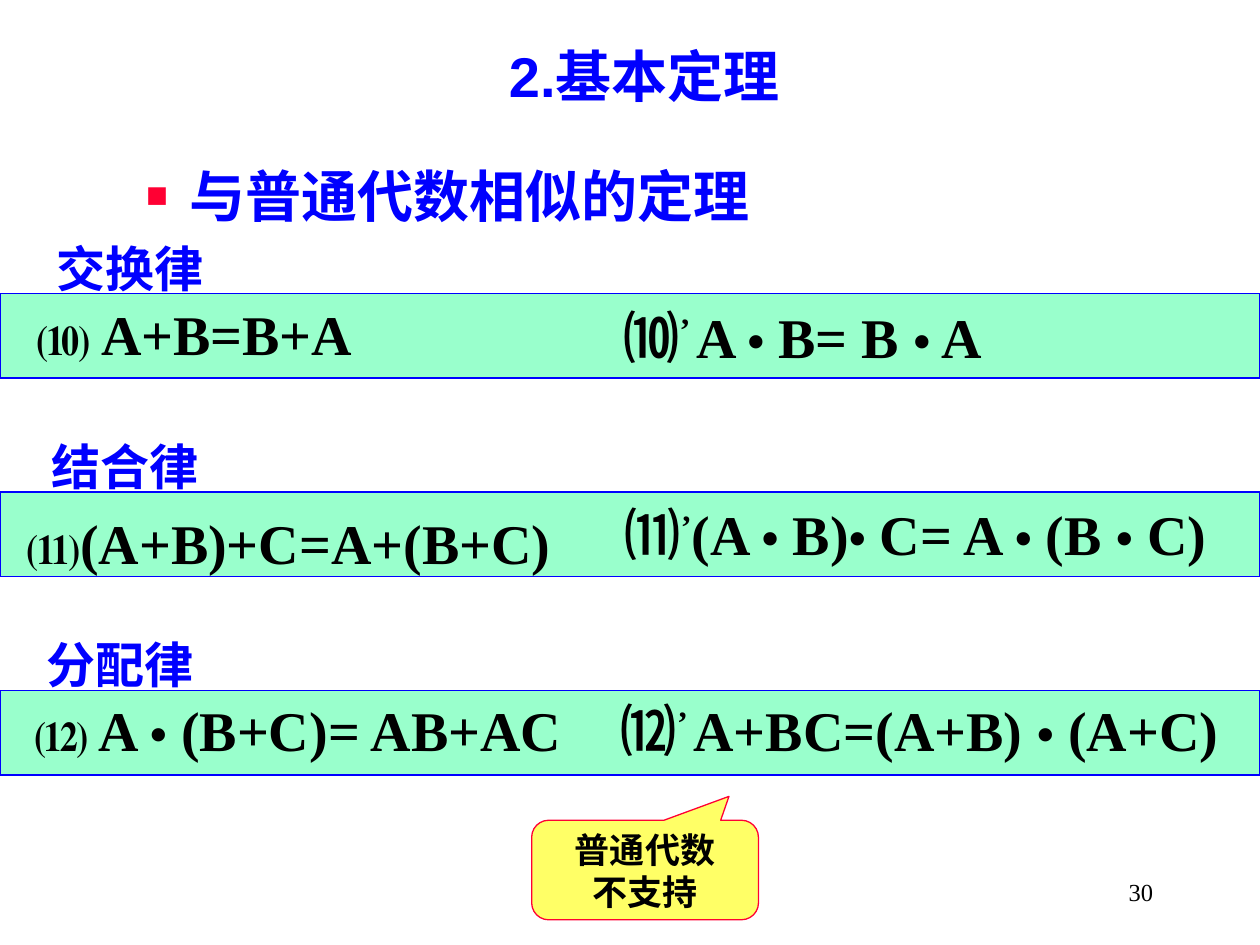
"""Build the slide of Boolean algebra theorems that resemble ordinary algebra."""
from itertools import groupby

from lxml import etree
from pptx import Presentation
from pptx import util as u
from pptx.dml.color import RGBColor
from pptx.enum import shapes, text
from pptx.oxml.ns import qn

BLUE = RGBColor(0x00, 0x00, 0xFF)
MINT = RGBColor(0x99, 0xFF, 0xCC)
YELLOW = RGBColor(0xFF, 0xFF, 0x66)
RED = RGBColor(0xFF, 0x00, 0x33)
BLACK = RGBColor(0x00, 0x00, 0x00)
SERIF, SANS, CJK = "Times New Roman", "Arial", "Noto Sans CJK SC"

TITLE = "2.基本定理"
SUBTITLE = "与普通代数相似的定理"
CALLOUT = ("普通代数", "不支持")
PAGE = "30"
# law: name and left; sum form, left and drop; dual number, prime, form, left and drop
LAWS = [
    (("交换律", 0.35), ("⑽ A+B=B+A", 0.2, 0), ("⑽", "’ ", "A • B= B • A", 4.85, 0.02)),
    (("结合律", 0.31), ("⑾(A+B)+C=A+(B+C)", 0.12, 0.08),
     ("⑾", "’", "(A • B)• C= A • (B • C)", 4.86, 0.01)),
    (("分配律", 0.27), ("⑿ A • (B+C)= AB+AC", 0.18, -0.01),
     ("⑿", "’ ", "A+BC=(A+B) • (A+C)", 4.83, -0.01)),
]
WIDTH, HEIGHT = 10, 7.5
BAND_TOP, BAND_STEP, BAND_HEIGHT = 2.33, 1.575, 0.67
LINE_HEIGHT, NAME_HEIGHT, NAME_RISE = 0.64, 0.57, 0.49


def inches(*lengths):
    return [u.Inches(length) for length in lengths]


def add_run(paragraph, words, size, face=SANS, east=CJK, color=BLACK, bold=True, raised=False):
    run = paragraph.add_run()
    run.text = words
    formats = {"size": u.Pt(size), "name": face, "bold": bold}
    for key, value in formats.items():
        setattr(run.font, key, value)
    run.font.color.rgb = color
    properties = run.font._element
    etree.SubElement(properties, qn("a:ea")).set("typeface", east)
    if raised:
        properties.set("baseline", "30000")


def add_formula(paragraph, formula):
    for is_dot, letters in groupby(formula, lambda letter: letter == "•"):
        add_run(paragraph, "".join(letters), 28 if is_dot else 32, SERIF, SERIF)


def set_frame(frame, anchor=text.MSO_ANCHOR.TOP):
    formats = {"word_wrap": True, "auto_size": text.MSO_AUTO_SIZE.NONE, "vertical_anchor": anchor}
    for key, value in formats.items():
        setattr(frame, key, value)
    return frame.paragraphs[0]


def add_line(slide, *place):
    return set_frame(slide.shapes.add_textbox(*inches(*place)).text_frame)


def fill_placeholder(holder, words, *place):
    for key, value in zip(("left", "top", "width", "height"), inches(*place)):
        setattr(holder, key, value)
    paragraph = set_frame(holder.text_frame)
    paragraph.space_before = u.Pt(0)
    add_run(paragraph, words, 32, color=BLUE)
    return paragraph


def add_bullet(paragraph):
    properties = paragraph._p.get_or_add_pPr()
    indent = u.Inches(0.34)
    properties.set("marL", str(indent))
    properties.set("indent", str(-indent))
    color = etree.SubElement(properties, qn("a:buClr"))
    etree.SubElement(color, qn("a:srgbClr")).set("val", str(RED))
    for tag, key, value in (("a:buSzPct", "val", "65000"), ("a:buFont", "typeface", SANS),
                            ("a:buChar", "char", "■")):
        etree.SubElement(properties, qn(tag)).set(key, value)


def add_panel(slide, kind, place, fill, line, weight):
    panel = slide.shapes.add_shape(kind, *inches(*place))
    panel.shadow.inherit = False
    panel.fill.solid()
    panel.fill.fore_color.rgb = fill
    panel.line.color.rgb = line
    panel.line.width = u.Pt(weight)
    return panel


def add_law(slide, row, name, direct, dual):
    top = BAND_TOP + row * BAND_STEP
    title, left = name
    add_run(add_line(slide, left, top - NAME_RISE, 3.8, NAME_HEIGHT), title, 28, color=BLUE)
    formula, left, drop = direct
    add_formula(add_line(slide, left, top + drop, 4.58, LINE_HEIGHT), formula)
    number, prime, formula, left, drop = dual
    line = add_line(slide, left, top + drop, 5.42, LINE_HEIGHT)
    add_run(line, number, 32, CJK)
    add_run(line, prime, 32, SERIF, SERIF, raised=True)
    add_formula(line, formula)


def main():
    deck = Presentation()
    deck.slide_width, deck.slide_height = inches(WIDTH, HEIGHT)
    slide = deck.slides.add_slide(deck.slide_layouts[1])
    heading, topic = slide.placeholders
    title_line = fill_placeholder(heading, TITLE, 1.06, 0.28, 8.11, LINE_HEIGHT)
    title_line.alignment = text.PP_ALIGN.CENTER
    add_bullet(fill_placeholder(topic, SUBTITLE, 1.06, 1.23, 5.51, LINE_HEIGHT))

    for row in range(len(LAWS)):
        place = (0, BAND_TOP + row * BAND_STEP, WIDTH, BAND_HEIGHT)
        add_panel(slide, shapes.MSO_SHAPE.RECTANGLE, place, MINT, BLUE, 1)
    for row, law in enumerate(LAWS):
        add_law(slide, row, *law)

    callout = add_panel(slide, shapes.MSO_SHAPE.ROUNDED_RECTANGULAR_CALLOUT,
                        (4.22, 6.51, 1.8, 0.79), YELLOW, RED, 0.75)
    for index, value in enumerate((0.37, -0.74, 0.17)):
        callout.adjustments[index] = value
    line = set_frame(callout.text_frame, text.MSO_ANCHOR.MIDDLE)
    for index, words in enumerate(CALLOUT):
        line = callout.text_frame.add_paragraph() if index else line
        line.alignment = text.PP_ALIGN.CENTER
        add_run(line, words, 20)

    number = slide.shapes.add_textbox(*inches(7.17, 6.83, 2.08, 0.5))
    line = set_frame(number.text_frame, text.MSO_ANCHOR.MIDDLE)
    line.alignment = text.PP_ALIGN.RIGHT
    add_run(line, PAGE, 14, SERIF, SERIF, bold=False)
    deck.save("out.pptx")


if __name__ == "__main__":
    main()
